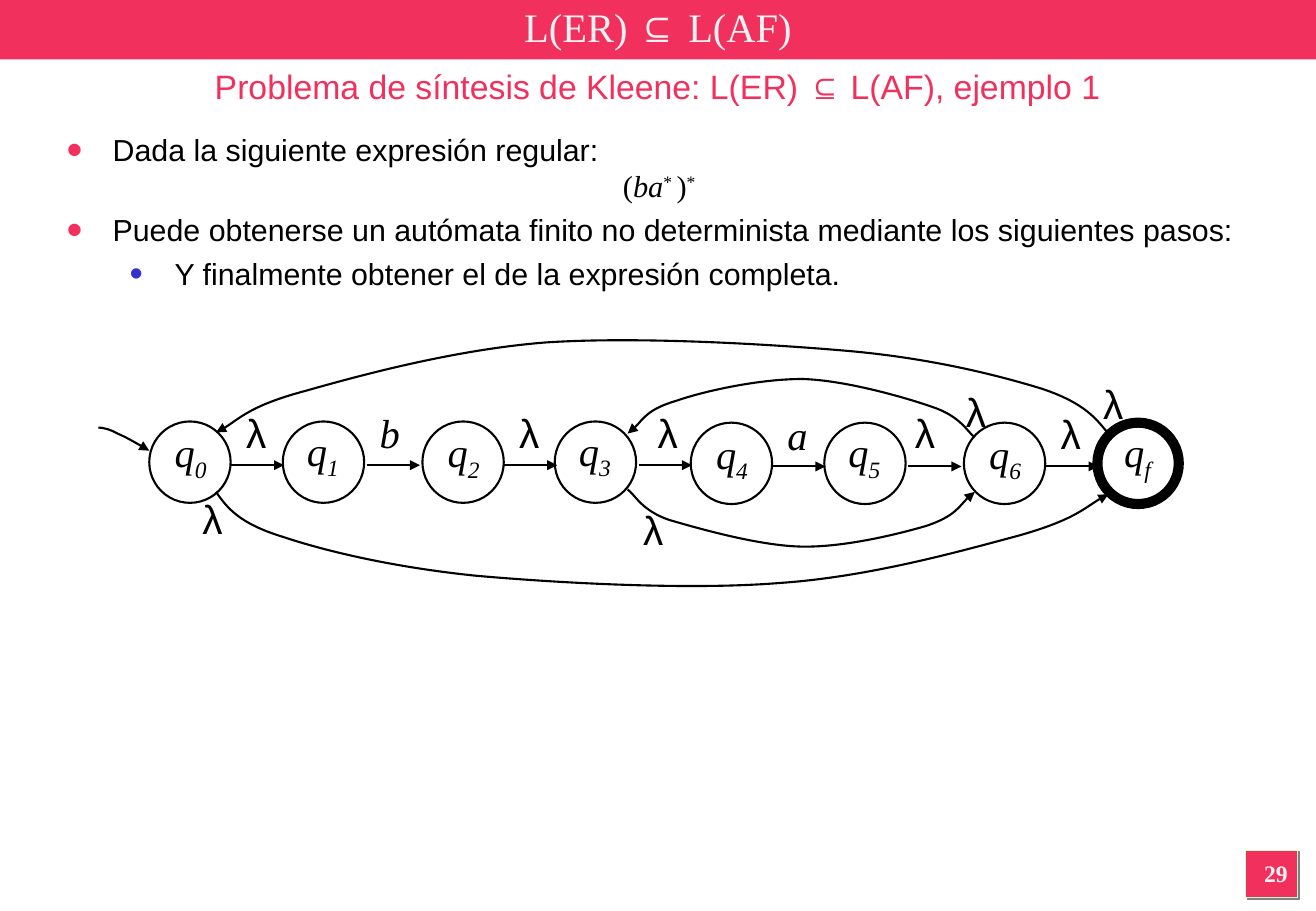
from lxml import etree
from pptx import Presentation
from pptx.dml.color import RGBColor
from pptx.enum.shapes import MSO_CONNECTOR, MSO_SHAPE
from pptx.enum.text import MSO_ANCHOR, MSO_AUTO_SIZE, PP_ALIGN
from pptx.oxml.ns import qn
from pptx.util import Inches, Pt

RECT, OVAL = MSO_SHAPE.RECTANGLE, MSO_SHAPE.OVAL
LINE = MSO_CONNECTOR.STRAIGHT
LEFT, MID = PP_ALIGN.LEFT, PP_ALIGN.CENTER
WIDE, HIGH = 10.84, 7.5
PINK, PALE, BLACK, BLUE = "F2305E", "F2F2F2", "000000", "3333CC"
SANS, SERIF = "Arial", "Times New Roman"

SIZE = 0.67
NAMES = "0123456f"
LEFTS = [1.23, 2.33, 3.48, 4.57, 5.69, 6.79, 7.94, 9.04]
# letter, centre and top of each edge label
EDGES = [("λ", 2.11, 0.81), ("b", 3.21, 0.81), ("λ", 4.36, 0.81),
         ("λ", 5.5, 0.81), ("a", 6.57, 0.83), ("λ", 7.62, 0.81),
         ("λ", 8.82, 0.82), ("λ", 8.04, 0.64), ("λ", 9.17, 0.57),
         ("λ", 5.38, 1.61), ("λ", 1.75, 1.52)]
START = [(0.81, 1.02), (0.84, 1.02), (0.9, 1.03), (0.97, 1.07),
         (1.04, 1.1), (1.18, 1.18), (1.23, 1.21)]
SKIP_A = [(5.17, 1.53), (5.23, 1.57), (5.28, 1.7), (5.51, 1.78),
          (5.75, 1.85), (6.24, 1.99), (6.59, 2), (6.94, 2.01),
          (7.39, 1.9), (7.63, 1.83), (7.87, 1.75), (7.94, 1.61), (8.03, 1.55)]
LOOP_A = [(8.03, 1.1), (7.97, 1.06), (7.92, 0.93), (7.68, 0.85),
          (7.45, 0.77), (6.96, 0.63), (6.61, 0.62), (6.25, 0.62),
          (5.8, 0.72), (5.57, 0.8), (5.33, 0.87), (5.25, 1.02), (5.17, 1.07)]
SKIP_ALL = [(1.78, 1.55), (1.87, 1.68), (1.97, 1.81), (2.33, 1.92),
            (2.69, 2.04), (3.24, 2.17), (3.92, 2.24), (4.6, 2.3),
            (5.68, 2.36), (6.42, 2.3), (7.17, 2.25), (7.94, 2.03),
            (8.39, 1.91), (8.85, 1.78), (8.98, 1.64), (9.13, 1.57)]
LOOP_ALL = [(9.13, 1.07), (9.03, 0.95), (8.94, 0.82), (8.58, 0.7),
            (8.22, 0.59), (7.67, 0.45), (6.99, 0.39), (6.3, 0.33),
            (5.23, 0.27), (4.49, 0.32), (3.74, 0.38), (2.97, 0.59),
            (2.51, 0.72), (2.06, 0.84), (1.93, 0.99), (1.78, 1.06)]


def rgb(code):
    return RGBColor.from_string(code)


def emu(box):
    return [Inches(v) for v in box]


def node(parent, tag, **attrs):
    return etree.SubElement(parent, qn(tag), attrs)


def say(par, runs, align=LEFT, **base):
    """Fill a paragraph with (text, format) runs over a base format."""
    par.alignment = align
    for words, own in runs:
        look = {**base, **own}
        run = par.add_run()
        run.text = words
        font = run.font
        font.name, font.size = look["face"], Pt(look["size"])
        font.bold, font.italic = look.get("bold", False), look.get("slant", False)
        font.color.rgb = rgb(look.get("color", BLACK))
        if "shift" in look:
            run._r.get_or_add_rPr().set("baseline", str(look["shift"] * 1000))


def text(slide, box, runs, wrap=True, **look):
    frame = slide.shapes.add_textbox(*emu(box)).text_frame
    frame.word_wrap = wrap
    say(frame.paragraphs[0], runs, **look)
    return frame


def stroke(shape, color=BLACK, width=1.25):
    shape.line.color.rgb = rgb(color)
    shape.line.width = Pt(width)


def block(slide, kind, box, fill=None, line=None, width=1.25):
    shape = slide.shapes.add_shape(kind, *emu(box))
    shape.shadow.inherit = False
    if fill:
        shape.fill.solid()
        shape.fill.fore_color.rgb = rgb(fill)
    else:
        shape.fill.background()
    if line:
        stroke(shape, line, width)
    else:
        shape.line.fill.background()
    return shape


def head(shape):
    node(shape.line._get_or_add_ln(), "a:tailEnd", type="triangle")


def arrow(slide, x, y, length):
    link = slide.shapes.add_connector(LINE, *emu((x, y, x + length, y)))
    stroke(link)
    head(link)
    node(link.element.spPr, "a:effectLst")


def curve(slide, points, left, top):
    """Draw an arrow along cubic Bézier points: start, then threes."""
    spots = [emu((left + x, top + y)) for x, y in points]
    build = slide.shapes.build_freeform(*spots[0], scale=1.0)
    build.add_line_segments(spots[1:], close=False)
    shape = build.convert_to_shape()
    shape.shadow.inherit = False
    shape.fill.background()
    stroke(shape)
    head(shape)
    trace = next(shape.element.iter(qn("a:path")))
    steps = trace.findall(qn("a:lnTo"))
    for i in range(0, len(steps), 3):
        bend = node(trace, "a:cubicBezTo")
        for step in steps[i:i + 3]:
            bend.append(step[0])
            trace.remove(step)


def header(slide, box):
    left, top, wide, high = box
    bar = block(slide, RECT, box, PINK)
    title = slide.shapes.title
    title.element.addprevious(bar.element)
    title.left, title.top, title.width, title.height = emu((left, top, wide, 0.44))
    frame = title.text_frame
    frame.auto_size = MSO_AUTO_SIZE.NONE
    frame.vertical_anchor = MSO_ANCHOR.MIDDLE
    say(frame.paragraphs[0],
        [("L(ER) ", {}), ("⊆", {"face": SANS}), (" L(AF)", {})],
        align=MID, face=SERIF, size=24, color=PALE)
    text(slide, (left, top + high, wide, 0.44),
         [("Problema de síntesis de Kleene: L(ER) ⊆ L(AF), ejemplo 1", {})],
         align=MID, face=SANS, size=20, color=PINK)


def indent(par, left, hang, color=None, share=100):
    """Hang a paragraph; with a colour, give it a bullet."""
    props = par._p.get_or_add_pPr()
    props.set("marL", str(Inches(left)))
    props.set("indent", str(-Inches(hang)))
    if color:
        node(node(props, "a:buClr"), "a:srgbClr", val=color)
        node(props, "a:buSzPct", val=str(share * 1000))
        node(props, "a:buFont", typeface=SANS)
        node(props, "a:buChar", char="•")


def body(slide, box):
    frame = slide.shapes.add_textbox(*emu(box)).text_frame
    frame.word_wrap = True
    up = {"shift": 30}
    point, sub = (0.38, 0.38, PINK, 150), (0.89, 0.37, BLUE, 125)
    rows = [
        (point, 0, LEFT, SANS, [("Dada la siguiente expresión regular:", {})]),
        ((0.38, 0.38), 0, MID, SERIF,
         [("(", {}), ("ba", {"slant": True}), ("* ", up), (")", {}), ("*", up)]),
        (point, 4.5, LEFT, SANS,
         [("Puede obtenerse un autómata finito no determinista "
           "mediante los siguientes pasos:", {})]),
        (sub, 4.5, LEFT, SANS,
         [("Y finalmente obtener el de la expresión completa.", {})]),
    ]
    for i, (dent, gap, align, face, runs) in enumerate(rows):
        par = frame.add_paragraph() if i else frame.paragraphs[0]
        par.space_before = Pt(gap)
        indent(par, *dent)
        say(par, runs, align=align, face=face, size=18)


def graph(slide, box):
    """Draw the automaton: states, edges, then their labels."""
    left, top = box[:2]
    final = len(NAMES) - 1
    for i, (name, x) in enumerate(zip(NAMES, LEFTS)):
        x, y, odd = left + x, top + 0.97 + 0.01 * (i // 4), i % 2
        block(slide, OVAL, (x, y, SIZE, SIZE), line=BLACK,
              width=6 if i == final else 1.25)
        text(slide, (x + 0.11 - 0.01 * odd, y - 0.01 * odd, 0.46, 0.56),
             [("q", {}), (name, {"shift": -25})], wrap=False,
             align=MID, face=SERIF, size=24, slant=True)
        if i < final:
            arrow(slide, x + SIZE + 0.02 * odd, y + 0.36, 0.44)
    for points in (START, SKIP_A, LOOP_A, SKIP_ALL, LOOP_ALL):
        curve(slide, points, left, top)
    for sign, x, y in EDGES:
        empty = sign == "λ"
        text(slide, (left + x - 0.19, top + y, 0.38, 0.5), [(sign, {})],
             wrap=False, align=MID, face=SANS if empty else SERIF,
             size=24, slant=not empty)


def number(slide, box):
    left, top, wide, high = box
    tile = block(slide, RECT, box, PINK, "CCFFCC", 0.75)
    glow = node(tile.element.spPr.find(qn("a:effectLst")), "a:outerShdw",
                dist=str(Pt(1.4)), dir="2700000", algn="ctr", rotWithShape="0")
    node(glow, "a:srgbClr", val="808080")
    text(slide, (left - 0.02, top + 0.02, wide + 0.11, high - 0.04),
         [("29", {})], align=MID, face=SERIF, size=14, bold=True, color=PALE)


def main():
    deck = Presentation()
    deck.slide_width, deck.slide_height = emu((WIDE, HIGH))
    slide = deck.slides.add_slide(deck.slide_layouts[5])
    header(slide, (0, 0, WIDE, 0.49))
    body(slide, (0.45, 1.03, 9.96, 5.8))
    graph(slide, (0, HIGH / 3, WIDE, HIGH / 3))
    number(slide, (10.26, 7, 0.43, 0.39))
    deck.save("out.pptx")


if __name__ == "__main__":
    main()
